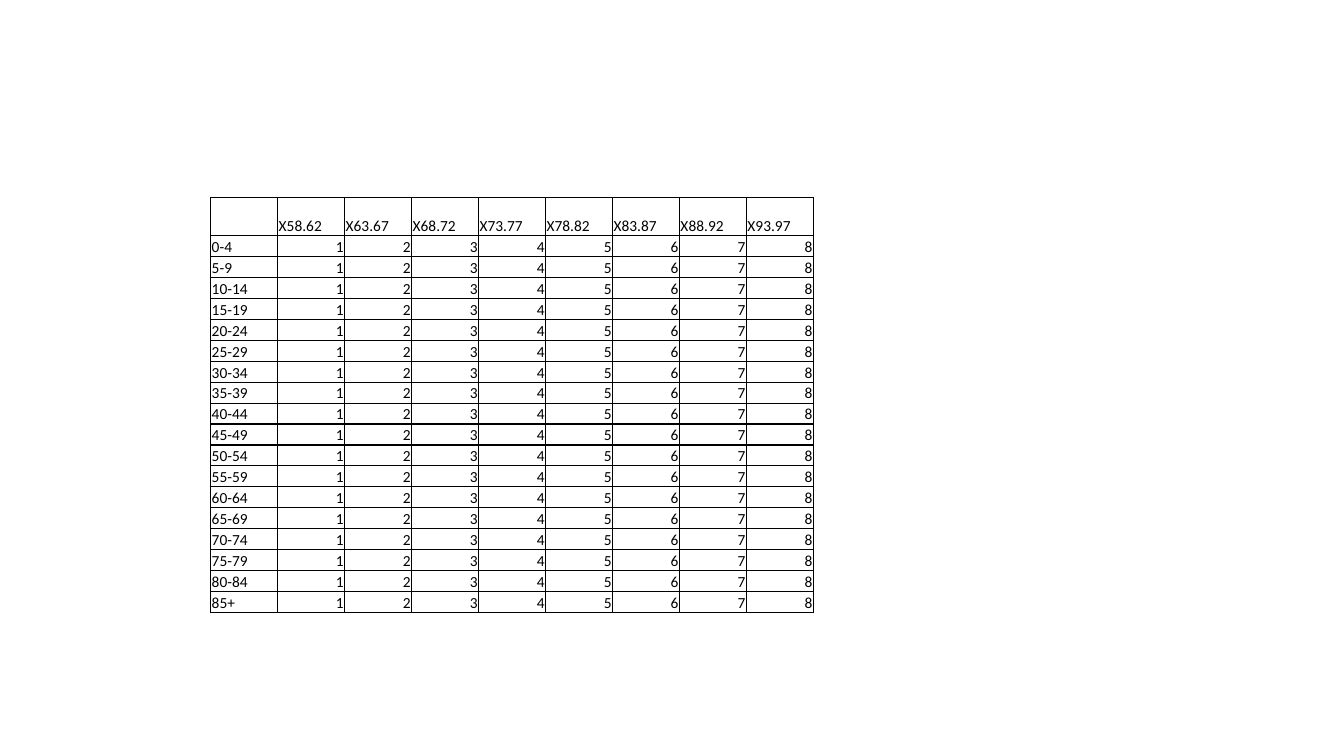
from lxml.etree import SubElement
from pptx import Presentation
from pptx.dml.color import RGBColor
from pptx.enum.text import MSO_ANCHOR, PP_ALIGN
from pptx.oxml.ns import qn
from pptx.util import Inches, Pt

BLACK = RGBColor(0x00, 0x00, 0x00)
YEARS = [f"X{start}.{start + 4}" for start in range(58, 94, 5)]
AGES = [f"{low}-{low + 4}" for low in range(0, 85, 5)] + ["85+"]

# Table size in inches
LEFT, TOP, WIDTH, HEIGHT = 2.09, 1.96, 5.98, 4.12
HEAD = 0.38

CELL = {
    "vertical_anchor": MSO_ANCHOR.BOTTOM,
    "margin_left": Inches(0.01),
    "margin_right": Inches(0.01),
    "margin_top": Inches(0.01),
    "margin_bottom": Inches(0),
}
FONT = {"name": "Calibri", "size": Pt(11), "bold": False}


def apply(item, values):
    for name, value in values.items():
        setattr(item, name, value)


def add_edges(cell):
    props = cell._tc.get_or_add_tcPr()
    for side in ("lnL", "lnR", "lnT", "lnB"):
        line = SubElement(props, qn(f"a:{side}"), w=str(Pt(1)))
        fill = SubElement(line, qn("a:solidFill"))
        SubElement(fill, qn("a:srgbClr"), val=str(BLACK))


def fill_cell(cell, text, align):
    apply(cell, CELL)
    add_edges(cell)
    cell.fill.background()
    para = cell.text_frame.paragraphs[0]
    para.alignment = align
    if text:
        run = para.add_run()
        run.text = text
        apply(run.font, FONT)
        run.font.color.rgb = BLACK


def add_grid(slide, rows):
    count = len(rows[0])
    frame = slide.shapes.add_table(
        len(rows), count, Inches(LEFT), Inches(TOP), Inches(WIDTH), Inches(HEIGHT)
    )
    table = frame.table
    apply(table, {"first_row": False, "horz_banding": False})

    # Equal columns, and equal rows below a taller header
    for col in table.columns:
        col.width = Inches(WIDTH / count)
    for row in table.rows:
        row.height = Inches((HEIGHT - HEAD) / (len(rows) - 1))
    table.rows[0].height = Inches(HEAD)

    # Labels to the left, numbers to the right
    for r, row in enumerate(rows):
        for c, text in enumerate(row):
            align = PP_ALIGN.RIGHT if r and c else PP_ALIGN.LEFT
            fill_cell(table.cell(r, c), text, align)


def main():
    deck = Presentation()
    apply(deck, {"slide_width": Inches(13.33), "slide_height": Inches(7.5)})
    slide = deck.slides.add_slide(deck.slide_layouts[6])

    # Age groups by period
    ranks = [str(n) for n in range(1, len(YEARS) + 1)]
    add_grid(slide, [["", *YEARS]] + [[age, *ranks] for age in AGES])
    deck.save("out.pptx")


if __name__ == "__main__":
    main()
